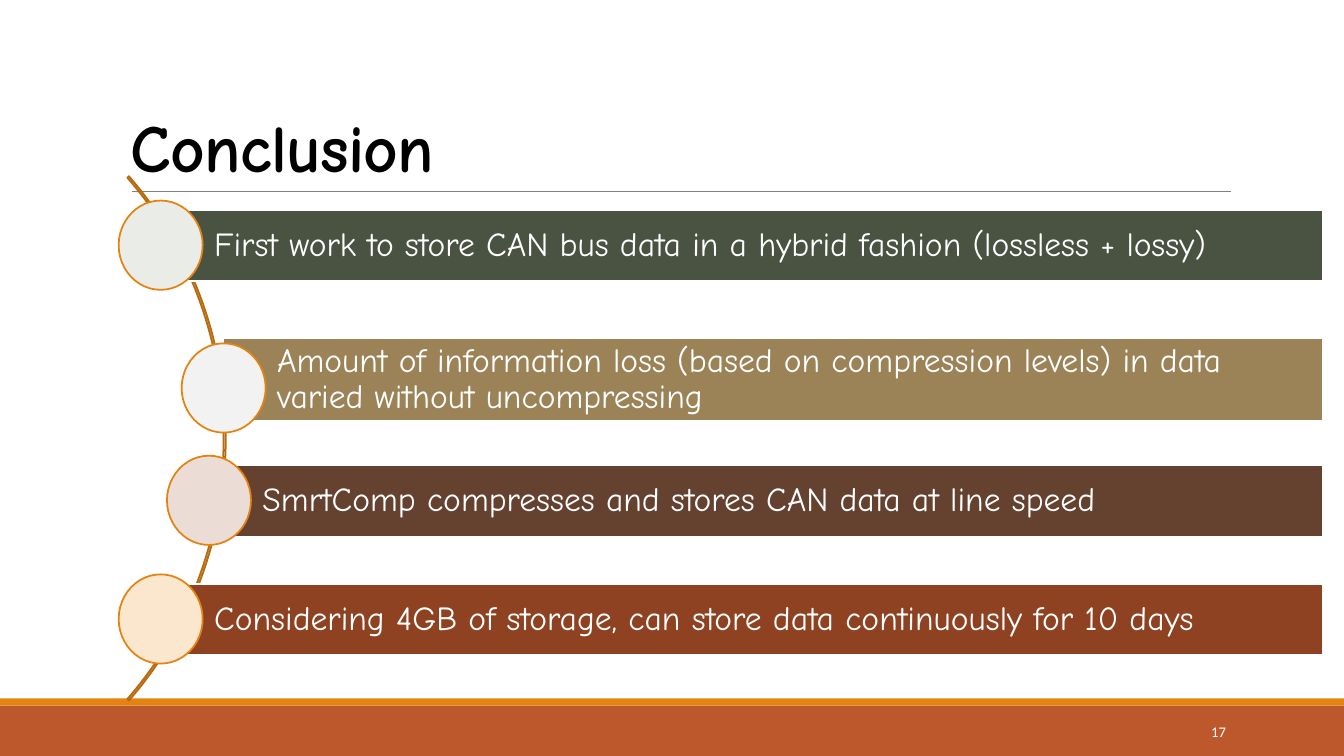
from lxml import etree
from pptx import Presentation
from pptx import util as u
from pptx.dml.color import RGBColor
from pptx.enum import shapes, text
from pptx.oxml.ns import qn

WHITE = RGBColor(0xFF, 0xFF, 0xFF)
BLACK = RGBColor(0x00, 0x00, 0x00)
GREY = RGBColor(0x80, 0x80, 0x80)
RUST = RGBColor(0xBD, 0x58, 0x2C)
ORANGE = RGBColor(0xE4, 0x83, 0x12)
BROWN = RGBColor(0xB7, 0x69, 0x0E)

SCALE = 9525
WIDTH, HEIGHT = 1280, 720
BAR_RIGHT = 1260
CIRCLE_WIDTH, CIRCLE_HEIGHT = 80, 85

POINTS = [
    ("First work to store CAN bus data in a hybrid fashion (lossless + lossy)",
     153, 200, 68, 191, RGBColor(0x4A, 0x52, 0x42), RGBColor(0xEA, 0xEC, 0xE7)),
    ("Amount of information loss (based on compression levels) in data varied without uncompressing",
     213, 322, 79, 327, RGBColor(0x9B, 0x83, 0x57), RGBColor(0xF2, 0xF2, 0xF2)),
    ("SmrtComp compresses and stores CAN data at line speed",
     199, 443, 68, 434, RGBColor(0x65, 0x41, 0x30), RGBColor(0xEB, 0xDC, 0xD5)),
    ("Considering 4GB of storage, can store data continuously for 10 days",
     153, 556, 68, 547, RGBColor(0x8E, 0x42, 0x21), RGBColor(0xFB, 0xE6, 0xCE)),
]


def px(length):
    return u.Emu(length * SCALE)


class Slide:
    """Draws styled elements on one page, with lengths in px."""

    heading_font = "Comic Neue"
    number_font = "Calibri"
    outline = 1.25

    def __init__(self, deck):
        self.page = deck.slides.add_slide(deck.slide_layouts[5])

    def fill_text(self, box, words, size, font, color, anchor, align=text.PP_ALIGN.LEFT, bold=False):
        frame = box.text_frame
        frame.word_wrap = True
        frame.auto_size = text.MSO_AUTO_SIZE.NONE
        frame.vertical_anchor = anchor
        para = frame.paragraphs[0]
        para.text = words
        para.alignment = align
        para.font.size = u.Pt(size)
        para.font.name = font
        para.font.bold = bold
        para.font.color.rgb = color
        return para

    def title(self, words, left, top, width, height):
        box = self.page.shapes.title
        box.left, box.top, box.width, box.height = map(px, (left, top, width, height))
        para = self.fill_text(box, words, 48, self.heading_font, BLACK,
                              text.MSO_ANCHOR.BOTTOM, bold=True)
        para.line_spacing = 0.85
        para.runs[0]._r.get_or_add_rPr().set("spc", "-50")

    def shape(self, kind, left, top, width, height, fill=None, line=None):
        shape = self.page.shapes.add_shape(kind, *map(px, (left, top, width, height)))
        shape.shadow.inherit = False
        if fill is None:
            shape.fill.background()
        else:
            shape.fill.solid()
            shape.fill.fore_color.rgb = fill
        if line is None:
            shape.line.fill.background()
        else:
            shape.line.color.rgb = line
            shape.line.width = u.Pt(self.outline)
        return shape

    def rule(self, left, right, top):
        line = self.page.shapes.add_connector(
            shapes.MSO_CONNECTOR.STRAIGHT, px(left), px(top), px(right), px(top))
        line.line.color.rgb = GREY
        line.line.width = u.Pt(0.5)
        etree.SubElement(line._element.spPr, qn("a:effectLst"))

    def arc(self, left, top, width, height):
        arc = self.shape(shapes.MSO_SHAPE.BLOCK_ARC, left, top, width, height, line=BROWN)
        for index, value in enumerate((189, 27, 0.003)):
            arc.adjustments[index] = value

    def bar(self, words, left, top, height, fill):
        bar = self.shape(shapes.MSO_SHAPE.RECTANGLE, left, top, BAR_RIGHT - left, height, fill, WHITE)
        frame = bar.text_frame
        frame.margin_left = px(51)
        frame.margin_top = frame.margin_right = frame.margin_bottom = px(5)
        para = self.fill_text(bar, words, 24, self.heading_font, WHITE, text.MSO_ANCHOR.MIDDLE)
        para.line_spacing = 0.9

    def circle(self, center, top, fill):
        self.shape(shapes.MSO_SHAPE.OVAL, center - CIRCLE_WIDTH // 2, top,
                   CIRCLE_WIDTH, CIRCLE_HEIGHT, fill, ORANGE)

    def number(self, words, left, top, width, height):
        box = self.page.shapes.add_textbox(*map(px, (left, top, width, height)))
        self.fill_text(box, words, 10.5, self.number_font, WHITE,
                       text.MSO_ANCHOR.MIDDLE, text.PP_ALIGN.RIGHT)


def main():
    deck = Presentation()
    deck.slide_width, deck.slide_height = px(WIDTH), px(HEIGHT)
    slide = Slide(deck)
    slide.shape(shapes.MSO_SHAPE.RECTANGLE, 0, 672, WIDTH, 48, RUST)
    slide.shape(shapes.MSO_SHAPE.RECTANGLE, 0, 665, WIDTH, 7, ORANGE)
    slide.rule(126, 1172, 182)
    slide.title("Conclusion", 115, 30, 1056, 152)
    slide.number("17", 1040, 678, 137, 38)
    slide.arc(-469, 52, 684, 731)
    for words, left, top, height, circle_top, fill, tint in POINTS:
        slide.bar(words, left, top, height, fill)
        slide.circle(left, circle_top, tint)
    deck.save("out.pptx")


if __name__ == "__main__":
    main()
